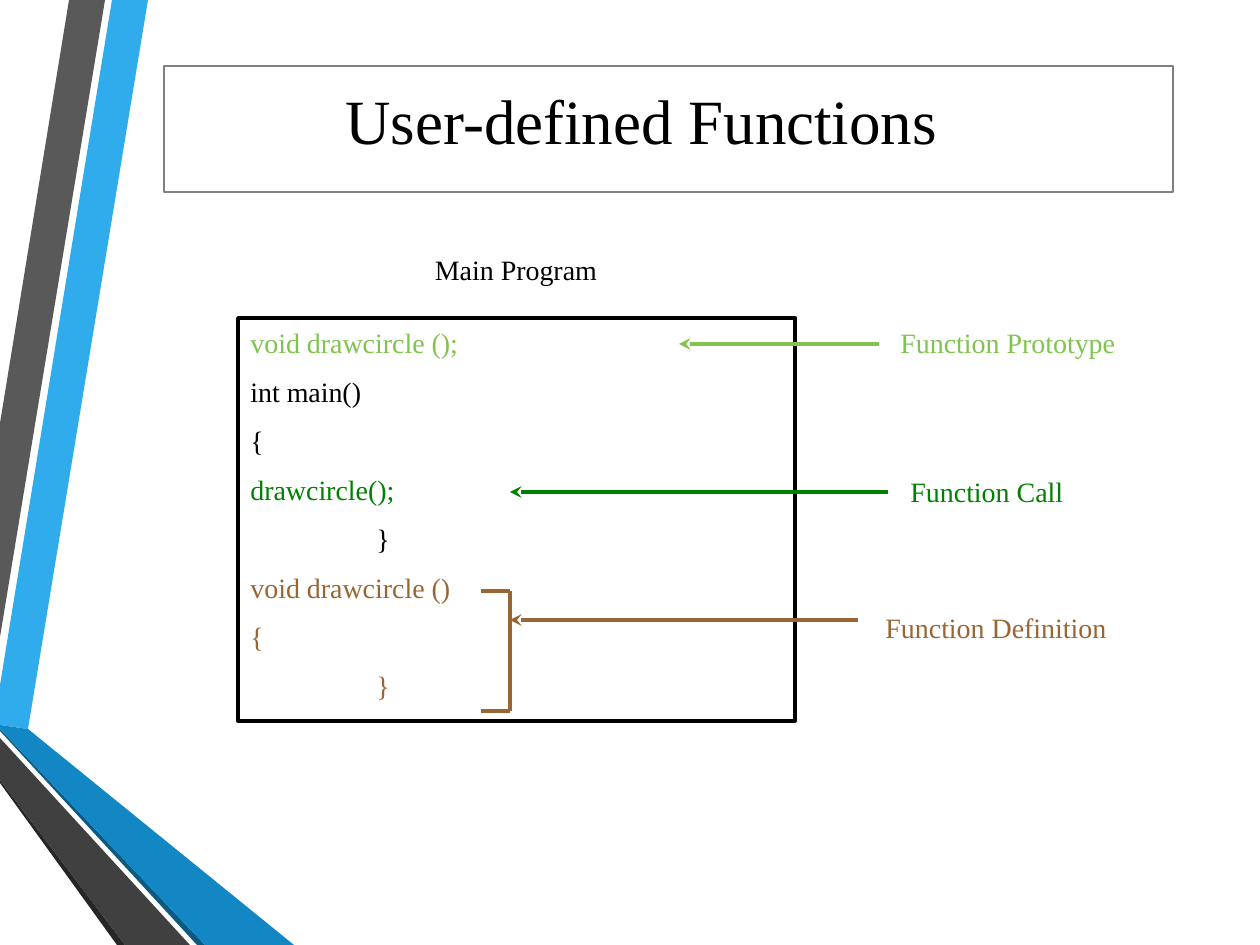
from lxml.etree import SubElement
from pptx import Presentation
from pptx.dml.color import RGBColor
from pptx.enum.shapes import MSO_CONNECTOR as CONN, MSO_SHAPE as SHAPE
from pptx.enum.text import MSO_ANCHOR as ANCHOR, PP_ALIGN as ALIGN
from pptx.oxml.ns import qn
from pptx.util import Emu, Pt

SCALE = 914400 / 126
W, H = 1260, 945
FONT = "Times New Roman"

BLACK = RGBColor(0x00, 0x00, 0x00)
WHITE = RGBColor(0xFF, 0xFF, 0xFF)
GRAY = RGBColor(0x80, 0x80, 0x80)
LIME = RGBColor(0x80, 0xC3, 0x4F)
GREEN = RGBColor(0x00, 0x80, 0x00)
BROWN = RGBColor(0x99, 0x66, 0x33)
SKY = RGBColor(0x30, 0xAC, 0xEC)
BLUE = RGBColor(0x12, 0x87, 0xC3)
NAVY = RGBColor(0x0C, 0x5A, 0x82)
SLATE = RGBColor(0x59, 0x59, 0x59)
DARK = RGBColor(0x40, 0x40, 0x40)
SHADE = RGBColor(0x26, 0x26, 0x26)

RIBBONS = [
    (SKY, [(0, 685), (0, 725), (28, 729), (148, 0), (112, 0)]),
    (SLATE, [(105, 0), (69, 0), (0, 423), (0, 637)]),
    (SHADE, [(0, 780), (0, 783), (117, H), (125, H)]),
    (NAVY, [(0, 729), (0, 731), (197, H), (205, H)]),
    (BLUE, [(0, 729), (205, H), (294, H), (28, 729), (0, 725)]),
    (DARK, [(0, 780), (125, H), (190, H), (0, 738)]),
]

TITLE = "User-defined Functions"
HEADING = "Main Program"
CODE = [
    ("void drawcircle ();", LIME, 0),
    ("int main()", BLACK, 0),
    ("{", BLACK, 0),
    ("drawcircle();", GREEN, 0),
    ("}", BLACK, 126),
    ("void drawcircle ()", BROWN, 0),
    ("{", BROWN, 0),
    ("}", BROWN, 126),
]
LABELS = [
    ("Function Prototype", LIME, 888, 319, (879, 679, 344)),
    ("Function Call", GREEN, 898, 468, (888, 510, 492)),
    ("Function Definition", BROWN, 873, 604, (858, 510, 620)),
]
BRACKET = [(510, 591, 510, 711), (481, 591, 510, 591), (481, 711, 510, 711)]


def px(n):
    return Emu(round(n * SCALE))


def write(p, text, size=16, color=BLACK, align=ALIGN.LEFT, indent=0):
    p.alignment = align
    if indent:
        pPr = p._p.get_or_add_pPr()
        pPr.set("marL", str(px(indent)))
        pPr.set("indent", "0")
    r = p.add_run()
    r.text = text
    r.font.name, r.font.size = FONT, Pt(size)
    r.font.color.rgb = color


def label(s, text, x, y, w, h, **fmt):
    tf = s.shapes.add_textbox(px(x), px(y), px(w), px(h)).text_frame
    tf.word_wrap = True
    write(tf.paragraphs[0], text, **fmt)


def ribbon(s, color, points):
    fb = s.shapes.build_freeform(*points[0], scale=SCALE)
    fb.add_line_segments(points[1:], close=True)
    sp = fb.convert_to_shape()
    sp.shadow.inherit = False
    sp.fill.solid()
    sp.fill.fore_color.rgb = color
    sp.line.fill.background()


def box(s, x, y, w, h, color, width):
    sp = s.shapes.add_shape(SHAPE.RECTANGLE, px(x), px(y), px(w), px(h))
    sp.shadow.inherit = False
    sp.fill.solid()
    sp.fill.fore_color.rgb = WHITE
    sp.line.color.rgb = color
    sp.line.width = Pt(width)
    return sp


def line(s, x1, y1, x2, y2, color, arrow=False):
    c = s.shapes.add_connector(CONN.STRAIGHT, px(x1), px(y1), px(x2), px(y2))
    c.line.color.rgb = color
    c.line.width = Pt(2.25)
    if arrow:
        SubElement(c.line._get_or_add_ln(), qn("a:tailEnd"), type="stealth")
    SubElement(c._element.spPr, qn("a:effectLst"))


def main():
    """Build the slide on user-defined functions."""
    prs = Presentation()
    prs.slide_width, prs.slide_height = px(W), px(H)
    s = prs.slides.add_slide(prs.slide_layouts[6])

    for color, points in RIBBONS:
        ribbon(s, color, points)

    box(s, 164, 66, 1009, 126, GRAY, 0.75)
    label(s, TITLE, 333, 75, W - 333, 89, size=36)

    tf = box(s, 238, 318, 557, 403, BLACK, 2).text_frame
    tf.word_wrap = True
    tf.vertical_anchor = ANCHOR.TOP
    tf.margin_top = px(8)
    for i, (text, color, indent) in enumerate(CODE):
        p = tf.add_paragraph() if i else tf.paragraphs[0]
        p.space_before = Pt(8.8 if i else 0)
        write(p, text, color=color, indent=indent)

    label(s, HEADING, 259, 246, 514, 47, align=ALIGN.CENTER)
    for text, color, x, y, (x1, x2, ay) in LABELS:
        label(s, text, x, y, W - x, 47, color=color)
        line(s, x1, ay, x2, ay, color, arrow=True)
    for ends in BRACKET:
        line(s, *ends, BROWN)

    prs.save("out.pptx")


if __name__ == "__main__":
    main()
